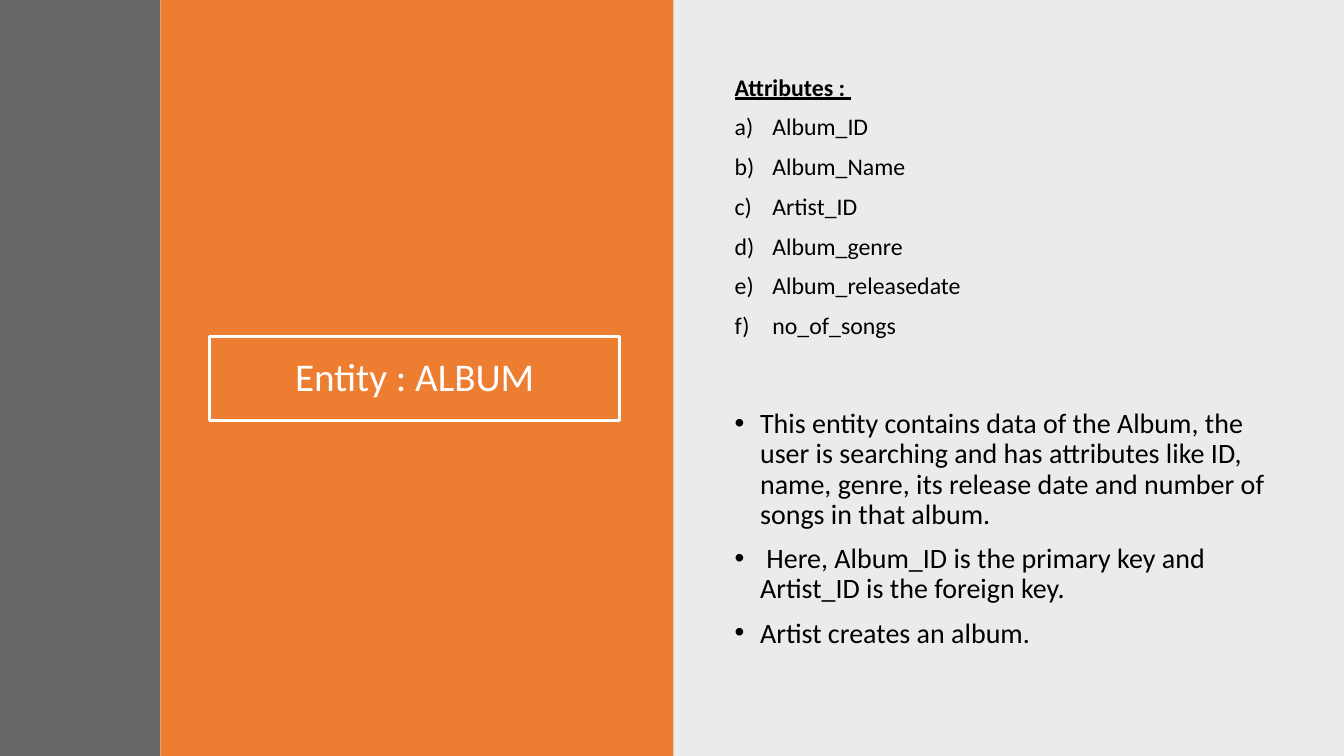
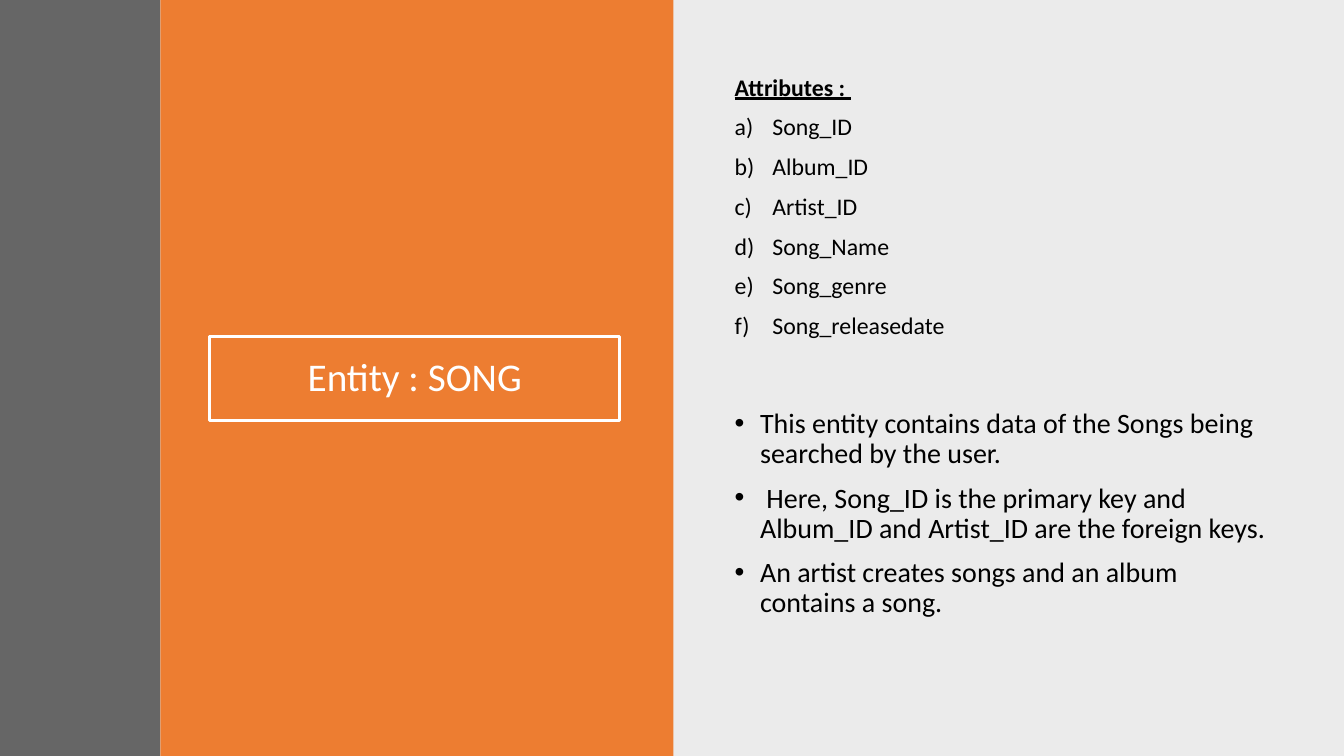
from lxml import etree
from pptx import Presentation
from pptx.dml.color import RGBColor
from pptx.enum.shapes import MSO_SHAPE
from pptx.enum.text import MSO_ANCHOR, MSO_AUTO_SIZE, PP_ALIGN
from pptx.oxml.ns import qn
from pptx.util import Cm, Pt

RECT = MSO_SHAPE.RECTANGLE
MIDDLE = MSO_ANCHOR.MIDDLE
NO_FIT = MSO_AUTO_SIZE.NONE
CENTER, LEFT = PP_ALIGN.CENTER, PP_ALIGN.LEFT

FONT = "Calibri"
WHITE, BLACK = "FFFFFF", "000000"
WIDTH, HEIGHT = 33.87, 19.05
TEXT_LEFT, TEXT_WIDTH, TEXT_HEIGHT = 18.26, 14.05, 7.09

# left, width, colour, opacity in percent
BANDS = [
    (16.93, 16.94, BLACK, 8),
    (4.04, 12.93, "ED7D31", 100),
    (0, 4.04, "404040", 80),
]

# bullet tag, its attributes, indent in cm, text size
HEADING = ("a:buNone", {}, 0, 17)
LETTER = ("a:buAutoNum", {"type": "alphaLcParenR"}, 0.95, 17)
BULLET = ("a:buChar", {"char": "•"}, 0.64, 20)

ENTITIES = [
    (
        "ALBUM",
        ["Album_ID", "Album_Name", "Artist_ID", "Album_genre",
         "Album_releasedate", "no_of_songs"],
        ["This entity contains data of the Album, the user is searching and has "
         "attributes like ID, name, genre, its release date and number of songs "
         "in that album.",
         " Here, Album_ID is the primary key and Artist_ID is the foreign key.",
         "Artist creates an album."],
    ),
    (
        "SONG",
        ["Song_ID", "Album_ID", "Artist_ID", "Song_Name", "Song_genre",
         "Song_releasedate"],
        ["This entity contains data of the Songs being searched by the user.",
         " Here, Song_ID is the primary key and Album_ID and Artist_ID are the "
         "foreign keys.",
         "An artist creates songs and an album contains a song."],
    ),
]


def rgb(color):
    return RGBColor.from_string(color)


def add_run(p, text, size, color):
    p.line_spacing = 0.9
    r = p.add_run()
    r.text = text
    r.font.name = FONT
    r.font.size = Pt(size)
    r.font.color.rgb = rgb(color)
    return r


prs = Presentation()
prs.slide_width, prs.slide_height = Cm(WIDTH), Cm(HEIGHT)
two_content = prs.slide_layouts[3]

for entity, attributes, notes in ENTITIES:
    s = prs.slides.add_slide(two_content)

    # Bands go behind the placeholders
    for i, (left, width, color, opacity) in enumerate(BANDS):
        band = s.shapes.add_shape(RECT, Cm(left), 0, Cm(width), Cm(HEIGHT))
        band.shadow.inherit = False
        band.fill.solid()
        band.fill.fore_color.rgb = rgb(color)
        band.line.fill.background()
        if opacity < 100:
            clr = band.fill._xPr.find(".//" + qn("a:srgbClr"))
            etree.SubElement(clr, qn("a:alpha"), val=str(opacity * 1000))
        s.shapes._spTree.insert(2 + i, band._element)

    # Title
    title = s.shapes.title
    title.left, title.top = Cm(5.28), Cm(8.48)
    title.width, title.height = Cm(10.34), Cm(2.11)
    title.line.color.rgb = rgb(WHITE)
    title.line.width = Pt(2)
    tf = title.text_frame
    tf.auto_size = NO_FIT
    tf.vertical_anchor = MIDDLE
    p = tf.paragraphs[0]
    p.alignment = CENTER
    add_run(p, f"Entity : {entity}", 28, WHITE)

    # Attribute list above, notes below
    attribute_lines = [("Attributes : ", HEADING)] + [(a, LETTER) for a in attributes]
    note_lines = [(n, BULLET) for n in notes]
    for idx, top, lines in [(1, 1.78, attribute_lines), (2, 10.19, note_lines)]:
        body = s.placeholders[idx]
        body.left, body.top = Cm(TEXT_LEFT), Cm(top)
        body.width, body.height = Cm(TEXT_WIDTH), Cm(TEXT_HEIGHT)
        tf = body.text_frame
        tf.auto_size = NO_FIT
        for i, (text, (tag, attrs, indent, size)) in enumerate(lines):
            p = tf.add_paragraph() if i else tf.paragraphs[0]
            pPr = p._p.get_or_add_pPr()
            pPr.set("marL", str(Cm(indent)))
            pPr.set("indent", str(-Cm(indent)))
            etree.SubElement(pPr, qn(tag), attrs)
            p.alignment = LEFT
            p.space_before = Pt(10 if i else 0)
            r = add_run(p, text, size, BLACK)
            if tag == "a:buNone":
                r.font.bold = r.font.underline = True

prs.save("out.pptx")
